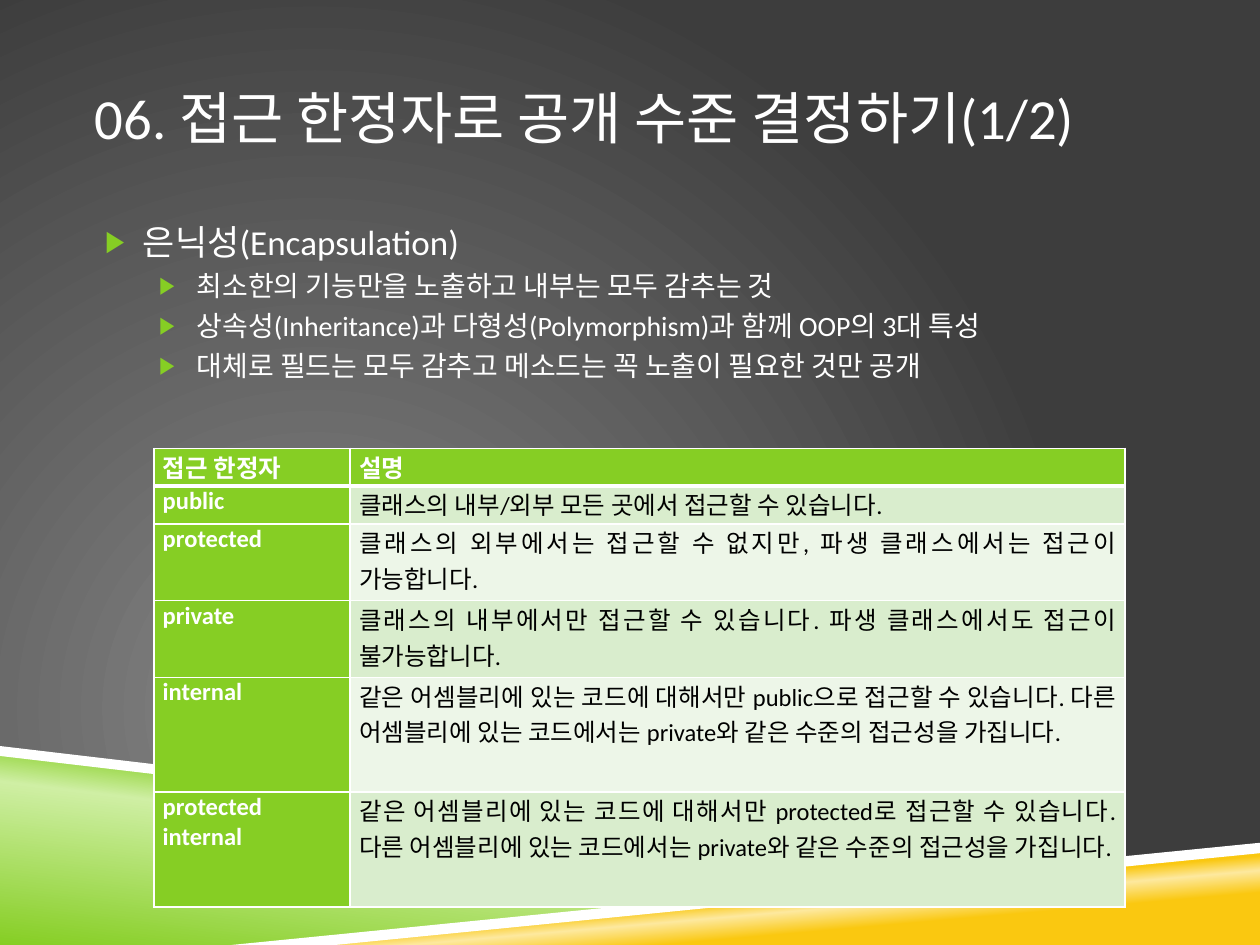
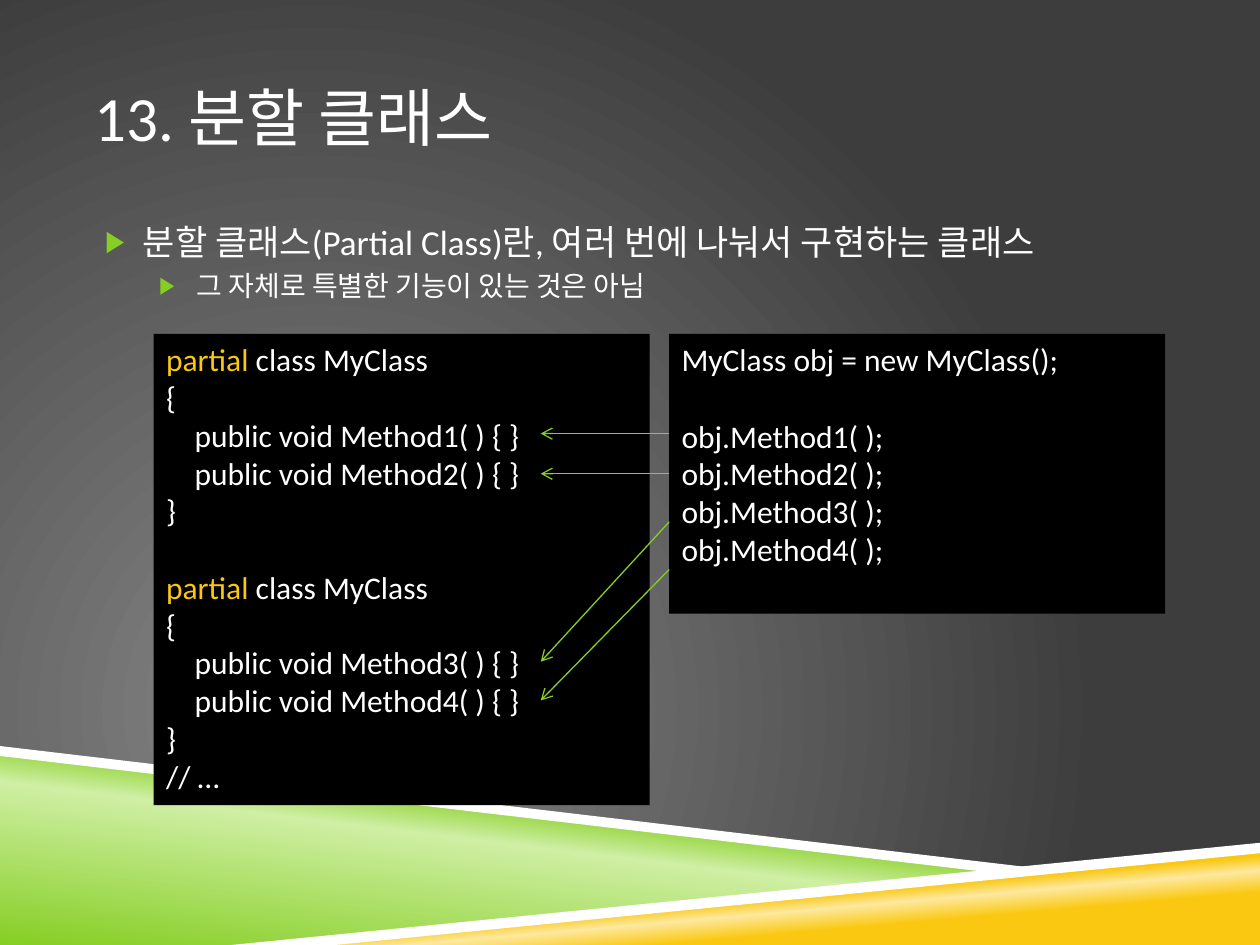
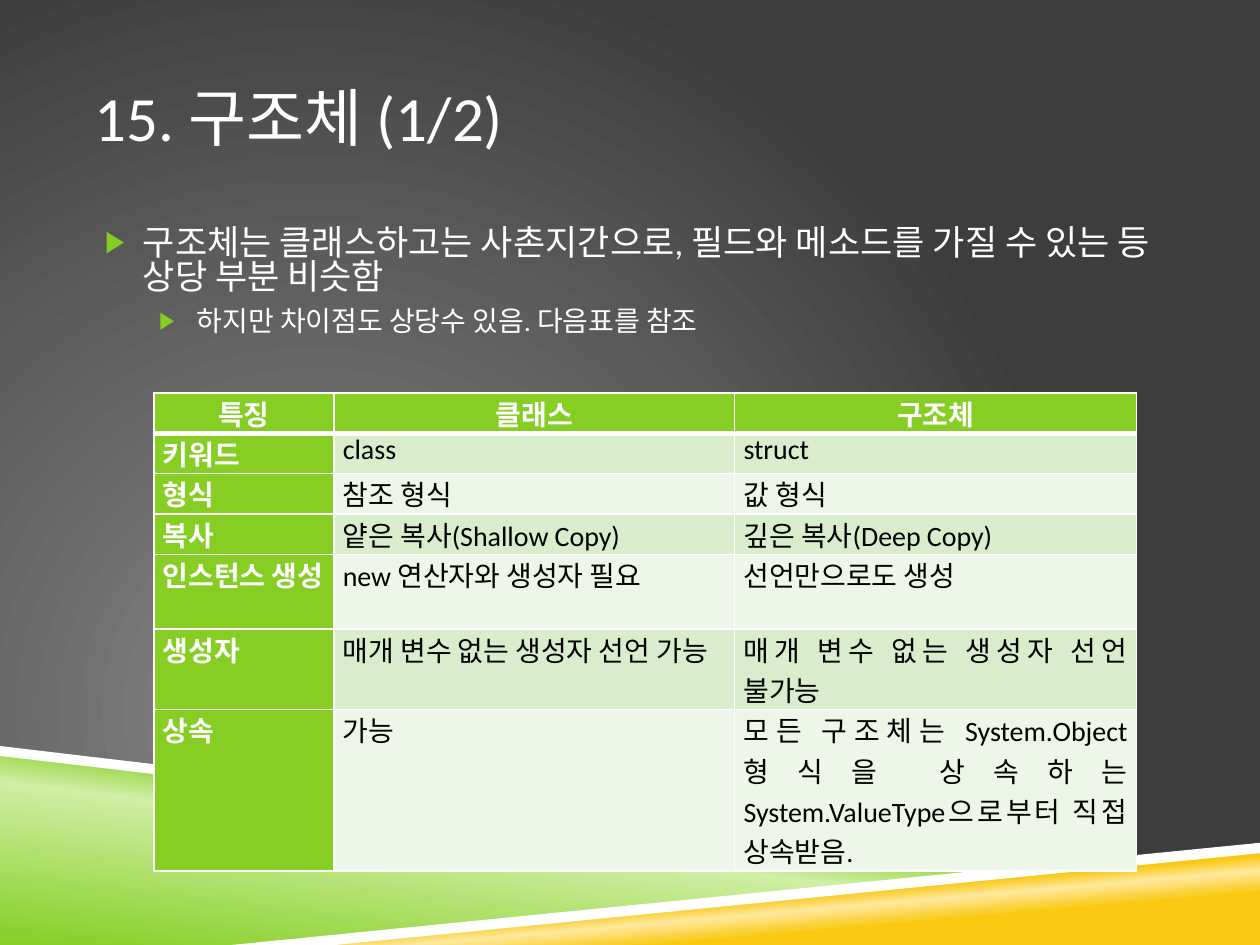
import pptx
import pptx.util
import pptx.dml.color
import pptx.enum.shapes
import pptx.enum.text
import pptx.oxml
import pptx.oxml.ns
from lxml import etree

Cm, Pt = pptx.util.Cm, pptx.util.Pt
qn = pptx.oxml.ns.qn
ALIGN = pptx.enum.text.PP_ALIGN
ANCHOR = pptx.enum.text.MSO_ANCHOR

GREEN, GOLD, WHITE, BLACK = "86CE24", "FAC810", "FFFFFF", "000000"
STRIPES = ["EDF6E8", "D9EDCD"]
FONT = "Calibri"
BACKDROP = [(0, "878787"), (100, "3D3D3D")]

BANDS = [
    {"points": [(0, 15.16), (20.12, 17.58), (5.08, 19.05), (0, 19.05)],
     "stops": [(0, GREEN), (52, "CFEFA4"), (66, GREEN)], "angle": 277},
    {"points": [(5.03, 19.05), (25.4, 17.07), (25.4, 19.05)],
     "stops": [(28, GOLD), (40, "FDE99F"), (48, GOLD)], "angle": 265},
    {"points": [(0, 15.04), (0, 15.24), (20.07, 17.6), (21.13, 17.53)]},
    {"points": [(25.4, 16.99), (4.67, 19.05), (6.76, 19.05), (25.4, 17.2)]},
]

LEVELS = [{"size": 20, "margin": 0.97}, {"size": 16, "margin": 2.06}]
HANGING = -0.76

ACCESS_TABLE = {
    "top": 9.04, "size": 14, "header_align": ALIGN.JUSTIFY,
    "columns": [3.96, 15.62],
    "heights": [0.76, 0.76, 1.55, 1.55, 2.31, 2.31],
    "rows": [
        ("접근 한정자", "설명"),
        ("public", "클래스의 내부/외부 모든 곳에서 접근할 수 있습니다."),
        ("protected", "클래스의 외부에서는 접근할 수 없지만, 파생 클래스에서는 접근이 가능합니다."),
        ("private", "클래스의 내부에서만 접근할 수 있습니다. 파생 클래스에서도 접근이 불가능합니다."),
        ("internal", "같은 어셈블리에 있는 코드에 대해서만 public으로 접근할 수 있습니다. "
                     "다른 어셈블리에 있는 코드에서는 private와 같은 수준의 접근성을 가집니다."),
        ("protected internal", "같은 어셈블리에 있는 코드에 대해서만 protected로 접근할 수 있습니다. "
                               "다른 어셈블리에 있는 코드에서는 private와 같은 수준의 접근성을 가집니다."),
    ],
}

STRUCT_TABLE = {
    "top": 7.92, "size": 16, "header_align": ALIGN.CENTER,
    "columns": [3.63, 8.08, 8.1],
    "heights": [0.76, 0.76, 0.76, 0.76, 1.5, 1.5, 3],
    "rows": [
        ("특징", "클래스", "구조체"),
        ("키워드", "class", "struct"),
        ("형식", "참조 형식", "값 형식"),
        ("복사", "얕은 복사(Shallow Copy)", "깊은 복사(Deep Copy)"),
        ("인스턴스 생성", "new 연산자와 생성자 필요", "선언만으로도 생성"),
        ("생성자", "매개 변수 없는 생성자 선언 가능", "매개 변수 없는 생성자 선언 불가능"),
        ("상속", "가능", "모든 구조체는 System.Object 형식을 상속하는 "
                       "System.ValueType으로부터 직접 상속받음."),
    ],
}

PARTIAL_CODE = """partial class MyClass
{
    public void Method1( ) { }
    public void Method2( ) { }
}

partial class MyClass
{
    public void Method3( ) { }
    public void Method4( ) { }
}
// …"""

CALLER_CODE = """MyClass obj = new MyClass();

obj.Method1( );
obj.Method2( );
obj.Method3( );
obj.Method4( );"""

KEYWORD = "partial"
CODE_TOP, CODE_WIDTH, CODE_SIZE, CODE_GAP = 6.73, 10, 18, 22
CODE_LEFT = 3.1
CALLER_LEFT = 13.49
ARROW_END = 10.9

SLIDES = [
    {"title": "06. 접근 한정자로 공개 수준 결정하기(1/2)", "title_size": 32.4,
     "bullets": [(0, "은닉성(Encapsulation)"),
                 (1, "최소한의 기능만을 노출하고 내부는 모두 감추는 것"),
                 (1, "상속성(Inheritance)과 다형성(Polymorphism)과 함께 OOP의 3대 특성"),
                 (1, "대체로 필드는 모두 감추고 메소드는 꼭 노출이 필요한 것만 공개")],
     "table": ACCESS_TABLE},
    {"title": "13. 분할 클래스", "title_size": 36,
     "bullets": [(0, "분할 클래스(Partial Class)란, 여러 번에 나눠서 구현하는 클래스"),
                 (1, "그 자체로 특별한 기능이 있는 것은 아님")],
     "listings": [(CODE_LEFT, 9.5, PARTIAL_CODE), (CALLER_LEFT, 5.64, CALLER_CODE)],
     "calls": [(8.74, 8.74), (9.55, 9.55), (10.52, 13.34), (11.48, 14.12)]},
    {"title": "15. 구조체 (1/2)", "title_size": 36,
     "bullets": [(0, "구조체는 클래스하고는 사촌지간으로, 필드와 메소드를 가질 수 있는 등 상당 부분 비슷함"),
                 (1, "하지만 차이점도 상당수 있음. 다음표를 참조")],
     "table": STRUCT_TABLE},
]


def color(value):
    return pptx.dml.color.RGBColor.from_string(value)


def assign(target, values):
    for key, value in values.items():
        setattr(target, key, value)


def add_xml(parent, tag, **attributes):
    return etree.SubElement(parent, qn(tag), attributes)


def style_font(font, size, shade, bold=False):
    assign(font, {"name": FONT, "size": Pt(size), "bold": bold})
    font.color.rgb = color(shade)


def style_frame(frame, anchor, side, edge):
    assign(frame, {"word_wrap": True, "auto_size": pptx.enum.text.MSO_AUTO_SIZE.NONE,
                   "vertical_anchor": anchor,
                   "margin_left": Cm(side), "margin_right": Cm(side),
                   "margin_top": Cm(edge), "margin_bottom": Cm(edge)})


def fill_flat(shape, shade):
    shape.shadow.inherit = False
    shape.fill.solid()
    shape.fill.fore_color.rgb = color(shade)
    shape.line.fill.background()


def fill_gradient(owner, fill, stops, angle=None):
    fill.gradient()
    gradient = next(owner.iter(qn("a:gradFill")))
    for child in list(gradient):
        gradient.remove(child)
    stop_list = add_xml(gradient, "a:gsLst")
    for position, shade in stops:
        stop = add_xml(stop_list, "a:gs", pos=str(position * 1000))
        add_xml(stop, "a:srgbClr", val=shade)
    if angle is None:
        circle = add_xml(gradient, "a:path", path="circle")
        add_xml(circle, "a:fillToRect", l="50000", t="100000", r="100000", b="50000")
    else:
        add_xml(gradient, "a:lin", ang=str(angle * 60000), scaled="0")


def decorate_layout(layout, slide):
    fill_gradient(layout.element, layout.background.fill, BACKDROP)
    for index, band in enumerate(BANDS):
        start, *rest = [(Cm(x), Cm(y)) for x, y in band["points"]]
        builder = slide.shapes.build_freeform(*start)
        builder.add_line_segments(rest, close=True)
        shape = builder.convert_to_shape()
        fill_flat(shape, WHITE)
        if "stops" in band:
            fill_gradient(shape.element, shape.fill, band["stops"], band["angle"])
        shape.element.nvSpPr.cNvPr.set("id", str(100 + index))
        layout.shapes.element.insert(2 + index, shape.element)


def write_title(slide, text, size):
    title = slide.shapes.title
    assign(title, {"left": Cm(1.91), "top": Cm(0.76), "width": Cm(21.59), "height": Cm(3.18)})
    style_frame(title.text_frame, ANCHOR.MIDDLE, 0, 0.13)
    title.text_frame.text = text
    paragraph = title.text_frame.paragraphs[0]
    paragraph.alignment = ALIGN.LEFT
    style_font(paragraph.runs[0].font, size, WHITE)


def write_bullets(slide, bullets):
    frame = slide.shapes.add_textbox(Cm(1.91), Cm(4.45), Cm(21.59), Cm(11.48)).text_frame
    style_frame(frame, ANCHOR.TOP, 0, 0.13)
    for index, (level, text) in enumerate(bullets):
        paragraph = frame.add_paragraph() if index else frame.paragraphs[0]
        assign(paragraph, {"level": level, "line_spacing": 0.83})
        if index:
            paragraph.space_before = Pt(7)
        properties = paragraph._p.get_or_add_pPr()
        properties.set("marL", str(Cm(LEVELS[level]["margin"])))
        properties.set("indent", str(Cm(HANGING)))
        add_xml(add_xml(properties, "a:buClr"), "a:srgbClr", val=GREEN)
        add_xml(properties, "a:buSzPct", val="85000")
        add_xml(properties, "a:buFont", typeface="Arial")
        add_xml(properties, "a:buChar", char="▶")
        run = paragraph.add_run()
        run.text = text
        style_font(run.font, LEVELS[level]["size"], WHITE)


def border_cell(cell, row):
    properties = cell._tc.get_or_add_tcPr()
    for side in ("L", "R", "T", "B"):
        heavy = (row, side) in ((0, "B"), (1, "T"))
        line = add_xml(properties, "a:ln" + side, w=str(Pt(3 if heavy else 1)))
        add_xml(add_xml(line, "a:solidFill"), "a:srgbClr", val=WHITE)


def draw_table(slide, content):
    rows, columns, heights = content["rows"], content["columns"], content["heights"]
    table = slide.shapes.add_table(len(rows), len(columns), Cm(CODE_LEFT), Cm(content["top"]),
                                   Cm(sum(columns)), Cm(sum(heights))).table
    for column, width in zip(table.columns, columns):
        column.width = Cm(width)
    for r, texts in enumerate(rows):
        table.rows[r].height = Cm(heights[r])
        for c, text in enumerate(texts):
            heading = r == 0 or c == 0
            cell = table.cell(r, c)
            border_cell(cell, r)
            cell.fill.solid()
            cell.fill.fore_color.rgb = color(GREEN if heading else STRIPES[r % 2])
            assign(cell, {"margin_left": Cm(0.18), "margin_right": Cm(0.18),
                          "margin_top": 0, "margin_bottom": 0})
            cell.text = text
            paragraph = cell.text_frame.paragraphs[0]
            paragraph.alignment = ALIGN.JUSTIFY if r else content["header_align"]
            style_font(paragraph.runs[0].font, content["size"],
                       WHITE if heading else BLACK, heading)


def draw_listing(slide, left, height, code):
    box = slide.shapes.add_shape(pptx.enum.shapes.MSO_SHAPE.RECTANGLE, Cm(left), Cm(CODE_TOP),
                                 Cm(CODE_WIDTH), Cm(height))
    fill_flat(box, BLACK)
    frame = box.text_frame
    style_frame(frame, ANCHOR.TOP, 0.25, 0.13)
    paragraph = None
    for block in code.split("\n\n"):
        for index, line in enumerate(block.split("\n")):
            first = paragraph is None
            paragraph = frame.paragraphs[0] if first else frame.add_paragraph()
            paragraph.alignment = ALIGN.LEFT
            if index == 0 and not first:
                paragraph.space_before = Pt(CODE_GAP)
            for part in filter(None, line.partition(KEYWORD)):
                run = paragraph.add_run()
                run.text = part
                style_font(run.font, CODE_SIZE, GOLD if part == KEYWORD else WHITE)


def draw_call(slide, start, end):
    arrow = slide.shapes.add_connector(pptx.enum.shapes.MSO_CONNECTOR.STRAIGHT,
                                       Cm(CALLER_LEFT), Cm(start), Cm(ARROW_END), Cm(end))
    arrow.line.color.rgb = color(GREEN)
    arrow.line.width = Pt(0.75)
    add_xml(arrow.line._get_or_add_ln(), "a:tailEnd", type="arrow")
    add_xml(arrow.element.spPr, "a:effectLst")


def main():
    deck = pptx.Presentation()
    assign(deck, {"slide_width": Cm(25.4), "slide_height": Cm(19.05)})
    layout = deck.slide_layouts[5]
    for index, content in enumerate(SLIDES):
        slide = deck.slides.add_slide(layout)
        if index == 0:
            decorate_layout(layout, slide)
        write_title(slide, content["title"], content["title_size"])
        write_bullets(slide, content["bullets"])
        if "table" in content:
            draw_table(slide, content["table"])
        for listing in content.get("listings", []):
            draw_listing(slide, *listing)
        for call in content.get("calls", []):
            draw_call(slide, *call)
    deck.save("out.pptx")


if __name__ == "__main__":
    main()
